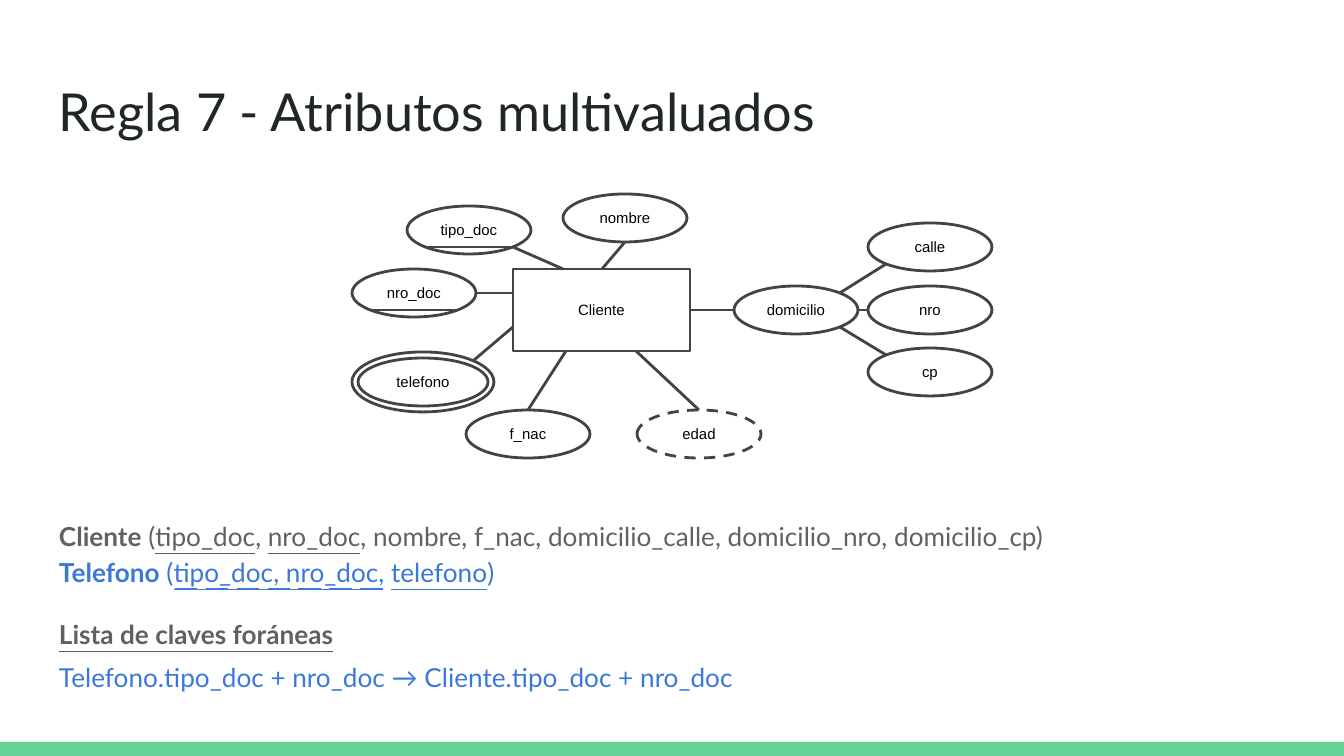
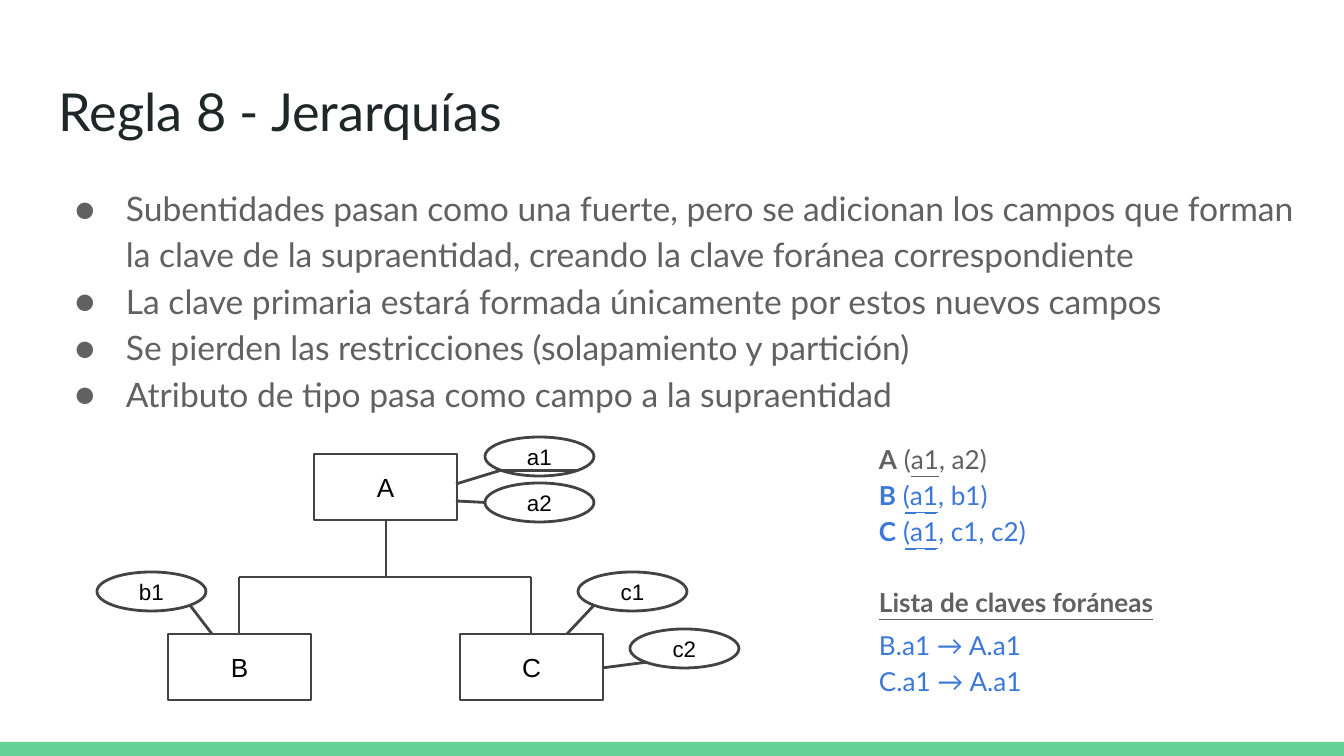
from lxml import etree
from pptx import Presentation
from pptx.dml.color import RGBColor
from pptx.enum.dml import MSO_LINE
from pptx.enum.shapes import MSO_CONNECTOR, MSO_SHAPE
from pptx.enum.text import MSO_ANCHOR, MSO_AUTO_SIZE, PP_ALIGN
from pptx.oxml.ns import qn
from pptx.util import Emu, Pt

RECT, OVAL, STRAIGHT = MSO_SHAPE.RECTANGLE, MSO_SHAPE.OVAL, MSO_CONNECTOR.STRAIGHT
DASH, LONG_DASH = MSO_LINE.DASH, MSO_LINE.LONG_DASH
TOP, MIDDLE = MSO_ANCHOR.TOP, MSO_ANCHOR.MIDDLE
LEFT, CENTER = PP_ALIGN.LEFT, PP_ALIGN.CENTER
NO_FIT = MSO_AUTO_SIZE.NONE

# Shared look
PX = 914400 / 134.4
WIDTH, HEIGHT, BAND_HEIGHT = 1344, 756, 14
GREEN, INK, GREY, BLUE, STROKE, BLACK = (
    "63D297", "202729", "616161", "3C78D8", "434343", "000000")
HEADING_FONT, DIAGRAM_FONT = "Lato", "Arial"
TITLE_BOX = (46, 66, 1253, 85)
KEYS_HEADING = [[("Lista de claves foráneas", "bu", GREY)]]

# Texts: each line is a list of (text, style, colour); b = bold, u = underline
MULTIVALUED = {
    "title": "Regla 7 - Atributos multivaluados",
    "texts": [
        ((46, 503, 1253, 74), [
            [("Cliente", "b", GREY), (" (", "", GREY), ("tipo_doc", "u", GREY),
             (", ", "", GREY), ("nro_doc", "u", GREY),
             (", nombre, f_nac, domicilio_calle, domicilio_nro, domicilio_cp)", "", GREY)],
            [("Telefono", "b", BLUE), (" (", "", BLUE), ("tipo_doc", "u", BLUE),
             (", ", "", BLUE), ("nro_doc", "u", BLUE), (", ", "", BLUE),
             ("telefono", "u", BLUE), (")", "", BLUE)]]),
        ((46, 644, 1253, 74), [
            [("Telefono.tipo_doc + nro_doc → Cliente.tipo_doc + nro_doc", "", BLUE)]]),
        ((46, 601, 1253, 74), KEYS_HEADING),
    ],
    "entity_size": (177, 82), "entity_pt": 8,
    "entities": {"Cliente": (513, 269)},
    "oval_size": (124, 48), "oval_pt": 8,
    "attributes": {
        "tipo_doc": (407, 206), "nro_doc": (352, 269), "nombre": (563, 194),
        "edad": (637, 410), "f_nac": (466, 410), "domicilio": (734, 286),
        "calle": (868, 223), "nro": (868, 286), "cp": (868, 348)},
    "multivalued": {"telefono": (352, 352, 142, 60)},
    "derived": ["edad"],
    "keys": ["tipo_doc", "nro_doc"],
    # An end is a point or (attribute, side of its oval)
    "links": [
        (("tipo_doc", "br"), (563, 269)), (("nro_doc", "r"), (513, 293)),
        (("telefono", "tr"), (513, 327)), (("nombre", "b"), (602, 269)),
        (("edad", "t"), (636, 351)), (("f_nac", "t"), (566, 351)),
        (("domicilio", "l"), (690, 310)), (("domicilio", "tr"), ("calle", "bl")),
        (("domicilio", "r"), ("nro", "l")), (("domicilio", "br"), ("cp", "tl"))],
    "foreign_marks": [(175, 384, 589)], "mark_dash": LONG_DASH,
}
HIERARCHY = {
    "title": "Regla 8 - Jerarquías",
    "bullets": ((46, 169, 1263, 74), [
        "Subentidades pasan como una fuerte, pero se adicionan los campos que forman "
        "la clave de la supraentidad, creando la clave foránea correspondiente",
        "La clave primaria estará formada únicamente por estos nuevos campos",
        "Se pierden las restricciones (solapamiento y partición)",
        "Atributo de tipo pasa como campo a la supraentidad"]),
    "texts": [
        ((866, 426, 405, 74), [
            [("A", "b", GREY), (" (", "", GREY), ("a1", "u", GREY), (", a2)", "", GREY)],
            [("B", "b", BLUE), (" (", "", BLUE), ("a1", "u", BLUE), (", b1)", "", BLUE)],
            [("C", "b", BLUE), (" (", "", BLUE), ("a1", "u", BLUE), (", c1, c2)", "", BLUE)]]),
        ((866, 612, 405, 74), [[("B.a1 → A.a1", "", BLUE)], [("C.a1 → A.a1", "", BLUE)]]),
        ((866, 569, 405, 74), KEYS_HEADING),
    ],
    "entity_size": (143, 66), "entity_pt": 14,
    "entities": {"A": (314, 454), "B": (168, 634), "C": (460, 634)},
    "oval_size": (109, 39), "oval_pt": 12,
    "attributes": {"b1": (97, 572), "c1": (578, 572), "a1": (485, 437),
                   "a2": (485, 483), "c2": (630, 629)},
    "multivalued": {},
    "derived": [],
    "keys": ["a1"],
    "links": [
        (("b1", "br"), (212, 634)), (("c1", "bl"), (567, 634)),
        (("a1", "bl"), (456, 484)), (("a2", "l"), (456, 501)),
        (("c2", "bl"), (602, 668)),
        ((386, 520), (386, 577)), ((239, 577), (531, 577)),
        ((239, 577), (239, 634)), ((531, 577), (531, 634))],
    "foreign_marks": [(905, 944, 513), (905, 944, 549)], "mark_dash": DASH,
}


def px(n):
    return Emu(round(n * PX))


def rgb(color):
    return RGBColor.from_string(color)


def style_font(font, name, size, color, style=""):
    font.name, font.size, font.color.rgb = name, Pt(size), rgb(color)
    font.bold, font.underline = "b" in style, "u" in style


def place(sp, box):
    sp.left, sp.top, sp.width, sp.height = map(px, box)
    tf = sp.text_frame
    tf.word_wrap, tf.auto_size, tf.vertical_anchor = True, NO_FIT, TOP
    tf.margin_left = tf.margin_right = tf.margin_top = tf.margin_bottom = px(13)
    return tf


def format_paragraph(p, bullet=False):
    pPr = p._p.get_or_add_pPr()
    pPr.set("marL", str(px(67) if bullet else 0))
    pPr.set("indent", str(px(-51) if bullet else 0))
    if bullet:
        clr = etree.SubElement(pPr, qn("a:buClr"))
        etree.SubElement(clr, qn("a:srgbClr"), val=GREY)
        etree.SubElement(pPr, qn("a:buFont"), typeface=HEADING_FONT)
        etree.SubElement(pPr, qn("a:buChar"), char="●")
    else:
        etree.SubElement(pPr, qn("a:buNone"))
    p.alignment, p.line_spacing = LEFT, 1.15
    p.space_before, p.space_after = Pt(0), Pt(0 if bullet else 16)


def write_title(sp, text):
    tf = place(sp, TITLE_BOX)
    tf.text = text
    p = tf.paragraphs[0]
    p.alignment = LEFT
    style_font(p.runs[0].font, HEADING_FONT, 28, INK)


def write_lines(sp, box, lines):
    p = place(sp, box).paragraphs[0]
    format_paragraph(p)
    for i, line in enumerate(lines):
        if i:
            p.add_line_break()
        for text, style, color in line:
            r = p.add_run()
            r.text = text
            style_font(r.font, HEADING_FONT, 14, color, style)


def write_bullets(sp, box, items):
    tf = place(sp, box)
    tf.text = "\n".join(items)
    for p in tf.paragraphs:
        format_paragraph(p, bullet=True)
        style_font(p.runs[0].font, HEADING_FONT, 18, GREY)


def add_node(shapes, kind, box, label="", size=8, dash=None):
    sp = shapes.add_shape(kind, *map(px, box))
    sp.shadow.inherit = False
    sp.fill.background()
    sp.line.color.rgb, sp.line.width = rgb(STROKE), Pt(1.5)
    if dash:
        sp.line.dash_style = dash
    if label:
        tf = sp.text_frame
        tf.word_wrap, tf.vertical_anchor = False, MIDDLE
        tf.text = label
        tf.paragraphs[0].alignment = CENTER
        style_font(tf.paragraphs[0].runs[0].font, DIAGRAM_FONT, size, BLACK)


def add_line(shapes, start, end, color=STROKE, dash=None):
    ln = shapes.add_connector(STRAIGHT, *map(px, (*start, *end)))
    ln.line.color.rgb, ln.line.width = rgb(color), Pt(1.5)
    if dash:
        ln.line.dash_style = dash
    etree.SubElement(ln._element.spPr, qn("a:effectLst"))


def oval_site(box, side):
    """Point on an oval: t, b, l, r or a diagonal such as br."""
    x, y, w, h = box
    reach = 0.5 if len(side) == 1 else 0.5 ** 1.5
    dx = ("r" in side) - ("l" in side)
    dy = ("b" in side) - ("t" in side)
    return x + w / 2 + dx * w * reach, y + h / 2 + dy * h * reach


def draw_diagram(slide, d):
    shapes = slide.shapes.add_group_shape().shapes
    for name, at in d["entities"].items():
        add_node(shapes, RECT, (*at, *d["entity_size"]), name, d["entity_pt"])
    ovals = {name: (*at, *d["oval_size"]) for name, at in d["attributes"].items()}
    for name, box in ovals.items():
        add_node(shapes, OVAL, box, name, d["oval_pt"], DASH if name in d["derived"] else None)
    for name, (x, y, w, h) in d["multivalued"].items():
        ovals[name] = (x, y, w, h)
        add_node(shapes, OVAL, ovals[name])
        add_node(shapes, OVAL, (x + 6, y + 6, w - 12, h - 12), name, d["oval_pt"])
    key_lines = [((name, "bl"), (name, "br")) for name in d["keys"]]
    for ends in d["links"] + key_lines:
        points = [oval_site(ovals[e[0]], e[1]) if e[0] in ovals else e for e in ends]
        add_line(shapes, *points)


def add_band(prs, slide):
    """Draw the footer band and hand it to the master, so every slide shows it."""
    band = slide.shapes.add_shape(
        RECT, 0, px(HEIGHT - BAND_HEIGHT), px(WIDTH), px(BAND_HEIGHT))
    band.shadow.inherit = False
    band.fill.solid()
    band.fill.fore_color.rgb = rgb(GREEN)
    band.line.fill.background()
    prs.slide_master.shapes.element.append(band.element)


def build_slide(prs, d):
    slide = prs.slides.add_slide(prs.slide_layouts.get_by_name("Comparison"))
    write_title(slide.shapes.title, d["title"])
    bodies = [sp for sp in slide.placeholders if sp.placeholder_format.idx > 0]
    if "bullets" in d:
        write_bullets(bodies.pop(0), *d["bullets"])
    for box, lines in d["texts"]:
        write_lines(bodies.pop(0), box, lines)
    for sp in bodies:
        sp.element.getparent().remove(sp.element)
    draw_diagram(slide, d)
    for x1, x2, y in d["foreign_marks"]:
        add_line(slide.shapes, (x1, y), (x2, y), BLUE, d["mark_dash"])
    return slide


def main():
    prs = Presentation()
    prs.slide_width, prs.slide_height = px(WIDTH), px(HEIGHT)
    slides = [build_slide(prs, d) for d in (MULTIVALUED, HIERARCHY)]
    add_band(prs, slides[0])
    prs.save("out.pptx")


if __name__ == "__main__":
    main()
